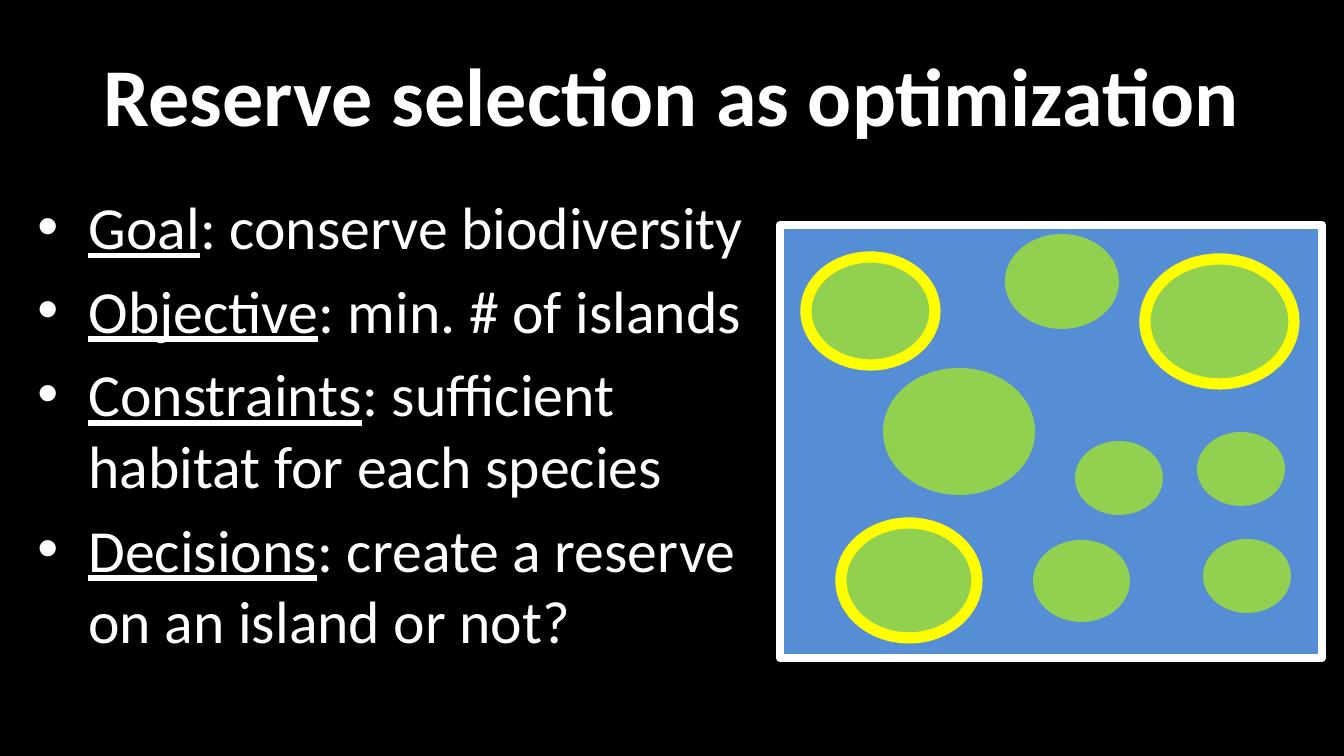
from lxml.etree import SubElement
from pptx import Presentation
from pptx.dml.color import RGBColor
from pptx.enum.shapes import MSO_SHAPE
from pptx.enum.text import MSO_ANCHOR, PP_ALIGN
from pptx.oxml.ns import qn
from pptx.util import Pt

# Content
TITLE = "Reserve selection as optimization"
POINTS = [
    ("Goal", ": conserve biodiversity"),
    ("Objective", ": min. # of islands"),
    ("Constraints", ": sufficient habitat for each species"),
    ("Decisions", ": create a reserve on an island or not?"),
]

# Boxes in px: left, top, width, height
SLIDE_SIZE = (1344, 756)
TITLE_BOX = (67, 31, 1210, 126)
POINTS_BOX = (24, 183, 784, 523)
SEA_BOX = (780, 225, 542, 433)
RESERVES = [(1145, 259, 149, 125), (806, 257, 129, 108), (841, 523, 136, 115)]
OTHER_ISLANDS = [
    (1033, 540, 97, 82), (1005, 234, 114, 95), (1197, 432, 88, 74),
    (1075, 441, 88, 74), (1203, 539, 88, 74), (883, 368, 152, 127),
]
HANGING_INDENT = 51

WHITE, BLACK, BLUE = "FFFFFF", "000000", "558ED5"
GREEN, YELLOW = "92D050", "FFFF00"


def px(length):
    return round(length * 914400 / 134.4)


def color(hex_value):
    return RGBColor.from_string(hex_value)


def place(holder, box):
    holder.left, holder.top, holder.width, holder.height = map(px, box)


def write(paragraph, text, size=32, bold=False, underline=False):
    run = paragraph.add_run()
    run.text = text
    font = run.font
    font.name, font.size = "Calibri", Pt(size)
    font.bold, font.underline = bold, underline
    font.color.rgb = color(WHITE)


def set_bullet(paragraph):
    properties = paragraph._p.get_or_add_pPr()
    properties.set("marL", str(px(HANGING_INDENT)))
    properties.set("indent", str(-px(HANGING_INDENT)))
    SubElement(properties, qn("a:buFont"), typeface="Arial")
    SubElement(properties, qn("a:buChar"), char="•")


def draw(group, kind, box, fill, outline=None, outline_width=0):
    area = group.shapes.add_shape(kind, *map(px, box))
    area.shadow.inherit = False
    area.fill.solid()
    area.fill.fore_color.rgb = color(fill)
    if outline:
        area.line.color.rgb = color(outline)
        area.line.width = Pt(outline_width)
    else:
        area.line.fill.background()


deck = Presentation()
deck.slide_width, deck.slide_height = map(px, SLIDE_SIZE)
slide = deck.slides.add_slide(deck.slide_layouts[1])
slide.background.fill.solid()
slide.background.fill.fore_color.rgb = color(BLACK)

# Title
title = slide.shapes.title
place(title, TITLE_BOX)
title.text_frame.vertical_anchor = MSO_ANCHOR.MIDDLE
heading = title.text_frame.paragraphs[0]
heading.alignment = PP_ALIGN.CENTER
write(heading, TITLE, size=44, bold=True)

# Parts of the optimization problem
body = slide.placeholders[1]
place(body, POINTS_BOX)
for index, (term, explanation) in enumerate(POINTS):
    frame = body.text_frame
    point = frame.add_paragraph() if index else frame.paragraphs[0]
    set_bullet(point)
    point.space_before = Pt(6.4 if index else 0)
    write(point, term, underline=True)
    write(point, explanation)

# Map: sea, islands and chosen reserves
island_map = slide.shapes.add_group_shape()
draw(island_map, MSO_SHAPE.RECTANGLE, SEA_BOX, BLUE, WHITE, 4.5)
for island in OTHER_ISLANDS:
    draw(island_map, MSO_SHAPE.OVAL, island, GREEN)
for reserve in RESERVES:
    draw(island_map, MSO_SHAPE.OVAL, reserve, GREEN, YELLOW, 6)

deck.save("out.pptx")
